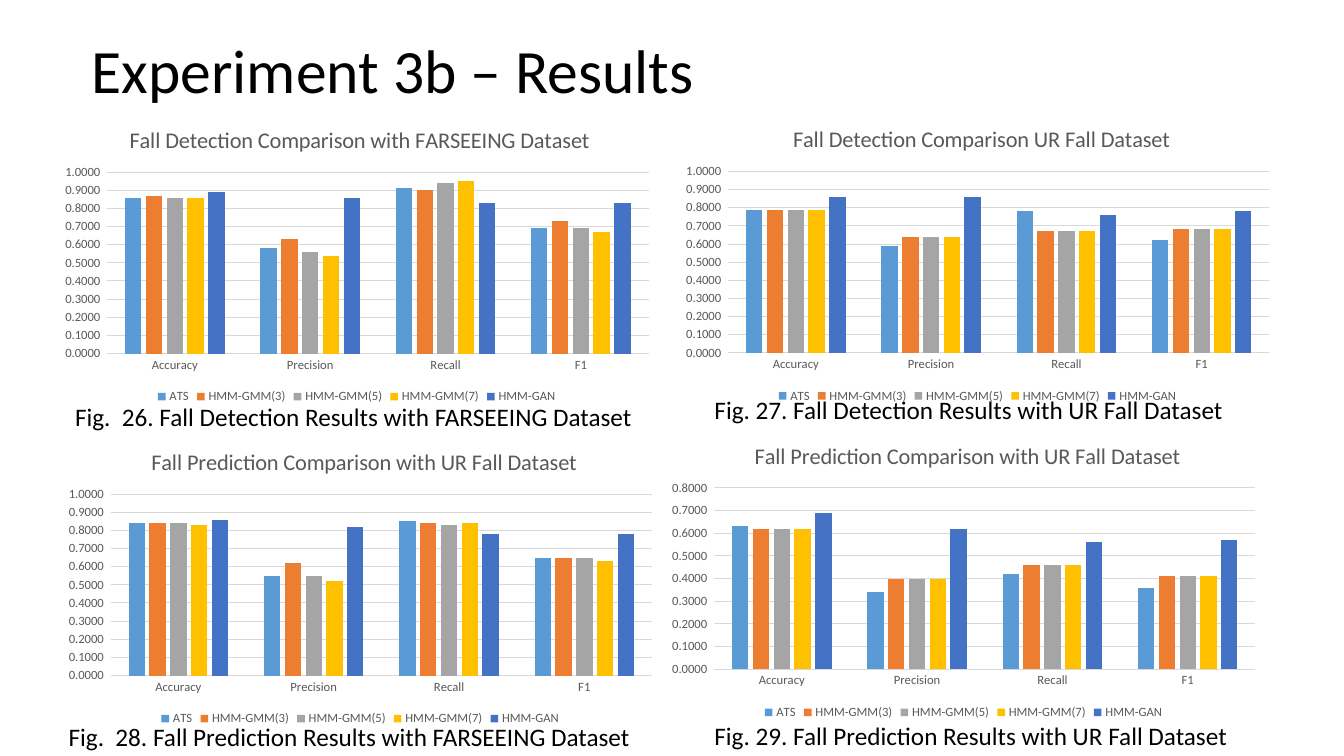
from dataclasses import dataclass

from lxml.etree import SubElement
from pptx import Presentation
from pptx.chart.chart import Chart
from pptx.chart.data import CategoryChartData as ChartData
from pptx.dml.color import RGBColor
from pptx.enum.chart import XL_CHART_TYPE as ChartType
from pptx.enum.chart import XL_LEGEND_POSITION as LegendPosition
from pptx.enum.chart import XL_TICK_MARK as TickMark
from pptx.enum.text import MSO_ANCHOR as Anchor
from pptx.enum.text import PP_ALIGN as Align
from pptx.oxml.ns import qn
from pptx.slide import Slide
from pptx.text.text import Font
from pptx.util import Pt

BLACK = RGBColor(0x00, 0x00, 0x00)
GREY_TEXT = RGBColor(0x59, 0x59, 0x59)
GRID = RGBColor(0xD9, 0xD9, 0xD9)
MODELS = {
    "ATS": RGBColor(0x5B, 0x9B, 0xD5),
    "HMM-GMM(3)": RGBColor(0xED, 0x7D, 0x31),
    "HMM-GMM(5)": RGBColor(0xA5, 0xA5, 0xA5),
    "HMM-GMM(7)": RGBColor(0xFF, 0xC0, 0x00),
    "HMM-GAN": RGBColor(0x44, 0x72, 0xC4),
}
METRICS = ["Accuracy", "Precision", "Recall", "F1"]
FONT = "Calibri"
CHART_WIDTH = 434.5
CHART_HEIGHT = 216


@dataclass
class Label:
    text: str
    left: float
    top: float
    width: float
    height: float
    size: int = 18
    align: Align = Align.CENTER
    anchor: Anchor = Anchor.TOP
    wrap: bool = False
    line_spacing: float = 1.0


@dataclass
class Result:
    """One chart: title_left is a share of its width, scores has a row per model."""
    title: str
    left: float
    top: float
    title_left: float
    maximum: float
    scores: list[list[float]]


LABELS = [
    Label("Experiment 3b – Results", 58.5, 0, 828, 104.5, 44,
          Align.LEFT, Anchor.MIDDLE, True, 0.9),
    Label("Fig. 26. Fall Detection Results with FARSEEING Dataset".replace("Fig. ", "Fig.\u00a0 "),
          44, 283, 417, 29),
    Label("Fig. 27. Fall Detection Results with UR Fall Dataset", 501, 278, 382, 29),
    Label("Fig. 28. Fall Prediction Results with FARSEEING Dataset".replace("Fig. ", "Fig.\u00a0 "),
          39.5, 512, 420, 29),
    Label("Fig. 29. Fall Prediction Results with UR Fall Dataset", 501, 511, 385, 29),
]

RESULTS = [
    Result("Fall Detection Comparison with FARSEEING Dataset", 37.5, 75.5, 0.12, 1, [
        [0.86, 0.58, 0.91, 0.69],
        [0.87, 0.63, 0.90, 0.73],
        [0.86, 0.56, 0.94, 0.69],
        [0.86, 0.54, 0.95, 0.67],
        [0.89, 0.86, 0.83, 0.83],
    ]),
    Result("Fall Prediction Comparison with UR Fall Dataset", 40, 305.5, 0.15, 1, [
        [0.84, 0.55, 0.85, 0.65],
        [0.84, 0.62, 0.84, 0.65],
        [0.84, 0.55, 0.83, 0.65],
        [0.83, 0.52, 0.84, 0.63],
        [0.86, 0.82, 0.78, 0.78],
    ]),
    Result("Fall Detection Comparison UR Fall Dataset", 481, 75, 0.19, 1, [
        [0.79, 0.59, 0.78, 0.62],
        *[[0.79, 0.64, 0.67, 0.68]] * 3,
        [0.86, 0.86, 0.76, 0.78],
    ]),
    Result("Fall Prediction Comparison with UR Fall Dataset", 471, 301, 0.15, 0.8, [
        [0.63, 0.34, 0.42, 0.36],
        *[[0.62, 0.40, 0.46, 0.41]] * 3,
        [0.69, 0.62, 0.56, 0.57],
    ]),
]


def style_font(font: Font, size: int, color: RGBColor) -> None:
    for name, value in {"name": FONT, "size": Pt(size), "bold": False}.items():
        setattr(font, name, value)
    font.color.rgb = color


def add_label(page: Slide, label: Label) -> None:
    box = page.shapes.add_textbox(
        Pt(label.left), Pt(label.top), Pt(label.width), Pt(label.height))
    frame = box.text_frame
    frame.word_wrap = label.wrap
    frame.vertical_anchor = label.anchor
    para = frame.paragraphs[0]
    para.alignment = label.align
    para.line_spacing = label.line_spacing
    span = para.add_run()
    span.text = label.text
    style_font(span.font, label.size, BLACK)


def place_part(chart: Chart, part: str, position: int, values: dict[str, str | float]) -> None:
    """Give a chart part a manual layout, in shares of the chart's size."""
    parent = chart.element.find(f"{qn('c:chart')}/{qn(part)}")
    for old in parent.findall(qn("c:layout")):
        parent.remove(old)
    layout = SubElement(parent, qn("c:layout"))
    parent.insert(position, layout)
    manual = SubElement(layout, qn("c:manualLayout"))
    for name, value in values.items():
        SubElement(manual, qn(f"c:{name}")).set("val", str(value))


def style_axes(chart: Chart, maximum: float) -> None:
    for axis in (chart.category_axis, chart.value_axis):
        axis.major_tick_mark = axis.minor_tick_mark = TickMark.NONE
        style_font(axis.tick_labels.font, 9, GREY_TEXT)
    values = chart.value_axis
    settings = {"minimum_scale": 0, "maximum_scale": maximum,
                "major_unit": 0.1, "has_major_gridlines": True}
    for name, value in settings.items():
        setattr(values, name, value)
    values.tick_labels.number_format = "0.0000_ "
    values.tick_labels.number_format_is_linked = False
    values.format.line.fill.background()
    for line in (chart.category_axis.format.line, values.major_gridlines.format.line):
        line.color.rgb = GRID
        line.width = Pt(0.75)


def add_result(page: Slide, result: Result) -> None:
    data = ChartData()
    data.categories = METRICS
    for model, scores in zip(MODELS, result.scores):
        data.add_series(model, scores)
    chart = page.shapes.add_chart(
        ChartType.COLUMN_CLUSTERED, Pt(result.left), Pt(result.top),
        Pt(CHART_WIDTH), Pt(CHART_HEIGHT), data).chart
    style_font(chart.font, 10, BLACK)

    chart.has_title = True
    span = chart.chart_title.text_frame.paragraphs[0].add_run()
    span.text = result.title
    style_font(span.font, 16, GREY_TEXT)
    chart.has_legend = True
    chart.legend.position = LegendPosition.BOTTOM
    chart.legend.include_in_layout = False
    style_font(chart.legend.font, 9, GREY_TEXT)
    style_axes(chart, result.maximum)

    plot = chart.plots[0]
    for name, value in {"gap_width": 219, "overlap": -27, "vary_by_categories": False}.items():
        setattr(plot, name, value)
    for series, color in zip(plot.series, MODELS.values()):
        series.format.fill.solid()
        series.format.fill.fore_color.rgb = color

    edges = {"xMode": "edge", "yMode": "edge"}
    place_part(chart, "c:title", 1, edges | {"x": result.title_left, "y": 0.05})
    place_part(chart, "c:plotArea", 0, {"layoutTarget": "inner"} | edges
               | {"x": 0.09, "y": 0.22, "w": 0.89, "h": 0.6})


def main() -> None:
    deck = Presentation()
    deck.slide_width, deck.slide_height = Pt(960), Pt(540)
    page = deck.slides.add_slide(deck.slide_layouts[6])
    for label in LABELS:
        add_label(page, label)
    for result in RESULTS:
        add_result(page, result)
    deck.save("out.pptx")


if __name__ == "__main__":
    main()
